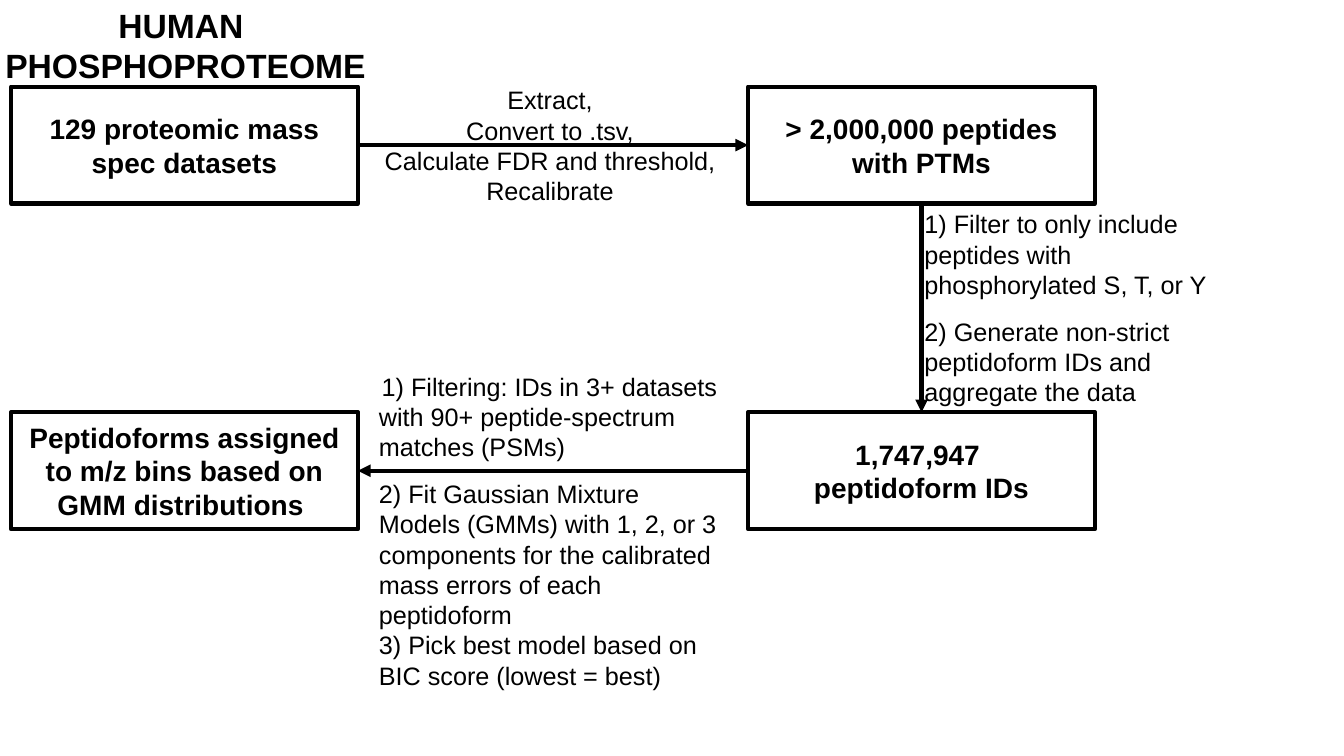
"""Builds the human phosphoproteome workflow slide."""
from lxml.etree import SubElement
from pptx import Presentation
from pptx.dml.color import RGBColor
from pptx.enum.shapes import MSO_CONNECTOR as CONN, MSO_SHAPE as SHAPE
from pptx.enum.text import MSO_ANCHOR as ANCHOR, MSO_AUTO_SIZE as AUTO, PP_ALIGN as ALIGN
from pptx.oxml.ns import qn
from pptx.util import Inches, Pt

BLACK = RGBColor(0, 0, 0)
BOX_W, BOX_H = 3.44, 1.16
LEFT, RIGHT = 0.11, 7.42
TOP, BOTTOM = 0.86, 4.09


def write(tf, paragraphs, size=18, bold=False, align=ALIGN.CENTER, anchor=ANCHOR.TOP, gap_at=None):
    tf.word_wrap = True
    tf.auto_size = AUTO.NONE
    tf.vertical_anchor = anchor
    for i, text in enumerate(paragraphs):
        p = tf.paragraphs[0] if i == 0 else tf.add_paragraph()
        p.alignment = align
        p.space_before = Pt(12 if i == gap_at else 0)
        r = p.add_run()
        r.text = text
        r.font.name = "Arial"
        r.font.size = Pt(size)
        r.font.bold = bold
        r.font.color.rgb = BLACK


prs = Presentation()
prs.slide_width, prs.slide_height = Inches(13.33), Inches(7.5)
s = prs.slides.add_slide(prs.slide_layouts[5])

title = s.shapes.title
title.left, title.top = Inches(-0.36), Inches(0)
title.width, title.height = Inches(4.4), Inches(0.91)
write(title.text_frame, ["HUMAN ", "PHOSPHOPROTEOME"], size=24, bold=True)

labels = [
    (9.07, 2.02, 3.18, 2.09, ALIGN.LEFT, 1, [
        "1) Filter to only include peptides with phosphorylated S, T, or Y",
        "2) Generate non-strict peptidoform IDs and aggregate the data"]),
    (3.7, 0.79, 3.58, 1.31, ALIGN.CENTER, None, [
        "Extract, ", "Convert to .tsv, ", "Calculate FDR and threshold, ", "Recalibrate "]),
    (3.66, 3.63, 3.58, 3.61, ALIGN.LEFT, 2, [
        "1) Filtering: IDs in 3+ datasets",
        "with 90+ peptide-spectrum matches (PSMs)",
        "2) Fit Gaussian Mixture Models (GMMs) with 1, 2, or 3 components "
        "for the calibrated mass errors of each peptidoform",
        "3) Pick best model based on BIC score (lowest = best)"]),
]
for x, y, w, h, align, gap_at, text in labels:
    tf = s.shapes.add_textbox(Inches(x), Inches(y), Inches(w), Inches(h)).text_frame
    write(tf, text, align=align, gap_at=gap_at)
tf.paragraphs[0].alignment = ALIGN.CENTER

steps = [
    (LEFT, TOP, ["129 proteomic mass spec datasets"]),
    (RIGHT, TOP, ["> 2,000,000 peptides with PTMs"]),
    (RIGHT, BOTTOM, ["1,747,947 ", "peptidoform IDs"]),
    (LEFT, BOTTOM, ["Peptidoforms assigned to m/z bins based on GMM distributions "]),
]
boxes = []
for x, y, text in steps:
    sp = s.shapes.add_shape(SHAPE.RECTANGLE, Inches(x), Inches(y), Inches(BOX_W), Inches(BOX_H))
    sp.shadow.inherit = False
    sp.fill.background()
    sp.line.color.rgb = BLACK
    sp.line.width = Pt(3)
    write(sp.text_frame, text, size=20, bold=True, anchor=ANCHOR.MIDDLE)
    boxes.append(sp)

for start, end, (out_side, in_side) in zip(boxes, boxes[1:], [(3, 1), (2, 0), (1, 3)]):
    arrow = s.shapes.add_connector(CONN.STRAIGHT, 0, 0, 0, 0)
    arrow.begin_connect(start, out_side)
    arrow.end_connect(end, in_side)
    arrow.line.color.rgb = BLACK
    arrow.line.width = Pt(3)
    SubElement(arrow.line._get_or_add_ln(), qn("a:tailEnd"), type="triangle")
    SubElement(arrow._element.spPr, qn("a:effectLst"))

prs.save("out.pptx")
